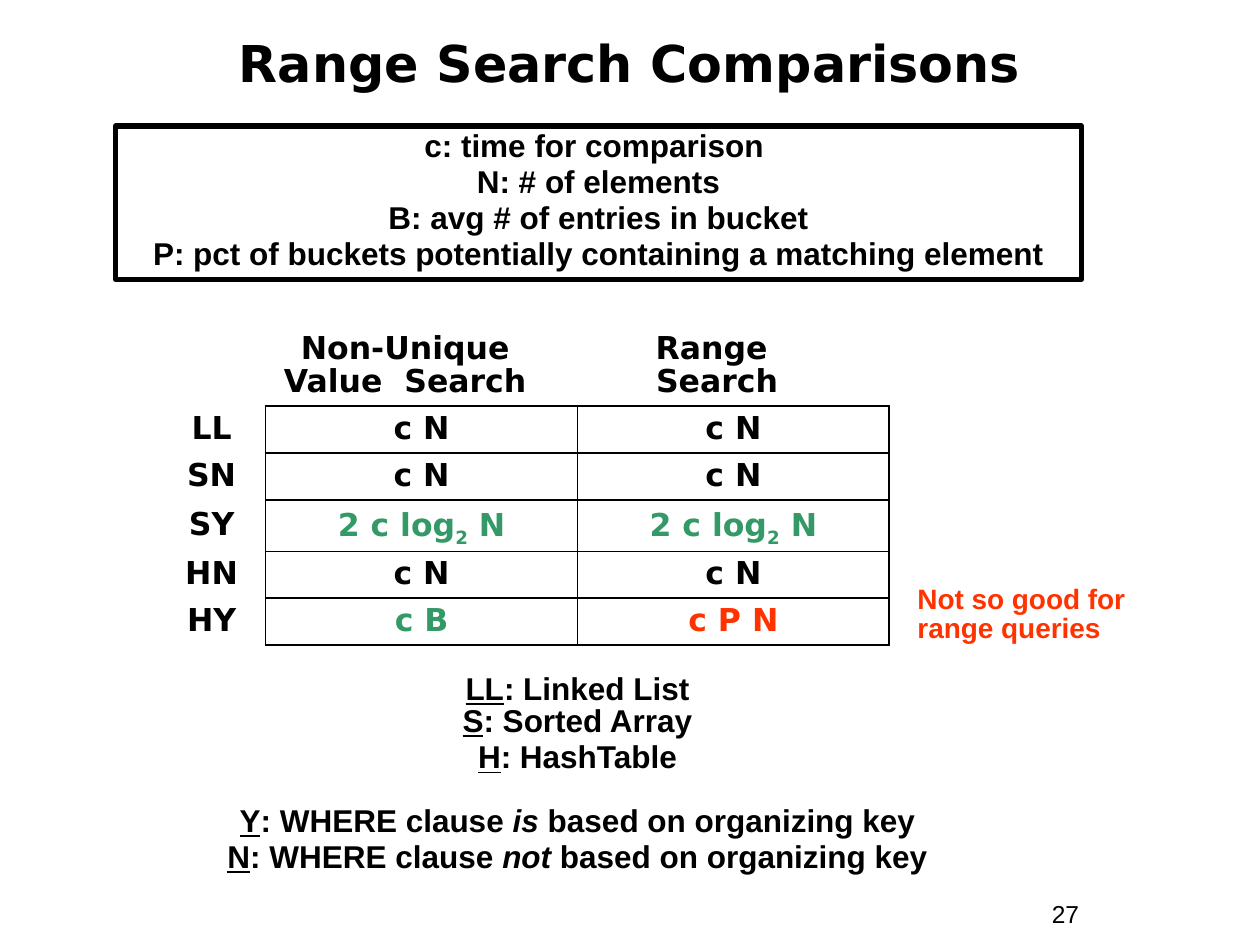
from pptx import Presentation
from pptx.dml.color import RGBColor
from pptx.enum.shapes import MSO_SHAPE
from pptx.enum.text import MSO_ANCHOR, PP_ALIGN
from pptx.oxml.ns import qn
from pptx.util import Inches, Pt
from lxml.etree import SubElement

BLACK, GREEN, RED = "000000", "339966", "FF3300"
SANS, HEAD = "Arial", "DejaVu Sans"


def rgb(value):
    return RGBColor.from_string(value)


def grid(*cells):
    return [Inches(n / 12) for n in cells]


class Deck:
    """Hold the style and the current slide, measured in a 120 by 90 grid."""

    def __init__(self):
        self.prs = Presentation()
        self.prs.slide_width, self.prs.slide_height = grid(120, 90)
        self.s = self.prs.slides.add_slide(self.prs.slide_layouts[6])

    def fill_text(self, tf, paras, size, font=SANS, color=BLACK, bold=True,
                  align=PP_ALIGN.CENTER, line=None, before=0):
        tf.word_wrap = True
        for i, para in enumerate(paras):
            p = tf.paragraphs[0] if i == 0 else tf.add_paragraph()
            runs, gap = para if isinstance(para, tuple) else (para, before)
            p.alignment, p.line_spacing = align, line
            p.space_before = Pt(gap if i else 0)
            for run in [runs] if isinstance(runs, str) else runs:
                text, mark = run if isinstance(run, tuple) else (run, "")
                r = p.add_run()
                r.text = text
                f = r.font
                f.name, f.size, f.bold = font, Pt(size), bold
                f.color.rgb = rgb(color)
                if mark == "u":
                    f.underline = True
                elif mark == "i":
                    f.italic = True
                elif mark == "sub":
                    r._r.get_or_add_rPr().set("baseline", "-25000")

    def text(self, at, paras, size, anchor=MSO_ANCHOR.TOP, **style):
        sp = self.s.shapes.add_textbox(*grid(*at))
        sp.text_frame.vertical_anchor = anchor
        self.fill_text(sp.text_frame, paras, size, **style)

    def frame(self, at, paras, size, width, **style):
        sp = self.s.shapes.add_shape(MSO_SHAPE.RECTANGLE, *grid(*at))
        sp.shadow.inherit = False
        sp.fill.background()
        sp.line.color.rgb = rgb(BLACK)
        sp.line.width = Pt(width)
        sp.text_frame.vertical_anchor = MSO_ANCHOR.TOP
        self.fill_text(sp.text_frame, paras, size, **style)

    def borders(self, cell, sides):
        tcPr = cell._tc.get_or_add_tcPr()
        for side in "LRTB":
            ln = SubElement(tcPr, qn("a:ln" + side), w=str(Pt(1.08)))
            if side in sides:
                fill = SubElement(ln, qn("a:solidFill"))
                SubElement(fill, qn("a:srgbClr"), val=BLACK)
            else:
                SubElement(ln, qn("a:noFill"))

    def table(self, left, top, cols, rows, data, size, **style):
        at = grid(left, top, sum(cols), sum(rows))
        tbl = self.s.shapes.add_table(len(rows), len(cols), *at).table
        tbl.first_row = tbl.horz_banding = False
        for column, width in zip(tbl.columns, grid(*cols)):
            column.width = width
        for row, height in zip(tbl.rows, grid(*rows)):
            row.height = height
        for i, values in enumerate(data):
            for j, (paras, color) in enumerate(values):
                cell = tbl.cell(i, j)
                cell.vertical_anchor = MSO_ANCHOR.MIDDLE
                if i == 0 and j:
                    cell.margin_right = Inches(0.36)
                self.fill_text(cell.text_frame, paras, size, color=color, **style)
                inner = "LRTB" if i and j else "R" if i else "B" if j else ""
                self.borders(cell, inner)
                cell.fill.background()


def main():
    deck = Deck()
    deck.text((99, 85, 11, 4), ["27"], 14, bold=False, align=PP_ALIGN.LEFT)
    deck.text((4, 1.4, 112, 9), ["Range Search Comparisons"], 29,
              anchor=MSO_ANCHOR.MIDDLE, font=HEAD)

    linear = (["c N"], BLACK)
    log = ([["2 c log", ("2", "sub"), " N"]], GREEN)
    costs = {
        "LL": (linear, linear),
        "SN": (linear, linear),
        "SY": (log, log),
        "HN": (linear, linear),
        "HY": ((["c B"], GREEN), (["c P N"], RED)),
    }
    header = [([], BLACK), (["Non-Unique", "Value  Search"], BLACK),
              (["Range  Search"], BLACK)]
    body = [[([name], BLACK), *cells] for name, cells in costs.items()]
    deck.table(15, 31, (10.3, 29.7, 29.7), (7.7, 4.45, 4.45, 4.95, 4.45, 4.45),
               [header] + body, 18, font=HEAD, line=0.9)

    deck.text((86.2, 55.3, 23, 6.7), ["Not so good for range queries"], 16,
              color=RED, align=PP_ALIGN.LEFT, line=0.85)
    deck.frame((11, 12, 92, 14.6), [
        "c: time for comparison ",
        "N: # of elements",
        "B: avg # of entries in bucket",
        "P: pct of buckets potentially containing a matching element",
    ], 18, 3, line=0.85, before=2.2)

    where, key = ": WHERE clause ", " based on organizing key"
    deck.text((17, 63.7, 76, 20.4), [
        [("LL", "u"), ": Linked List"],
        ([("S", "u"), ": Sorted Array"], 0),
        [("H", "u"), ": HashTable"],
        ([("Y", "u"), where, ("is", "i"), key], 18),
        [("N", "u"), where, ("not", "i"), key],
    ], 18, line=0.85, before=2.2)
    deck.prs.save("out.pptx")


if __name__ == "__main__":
    main()
